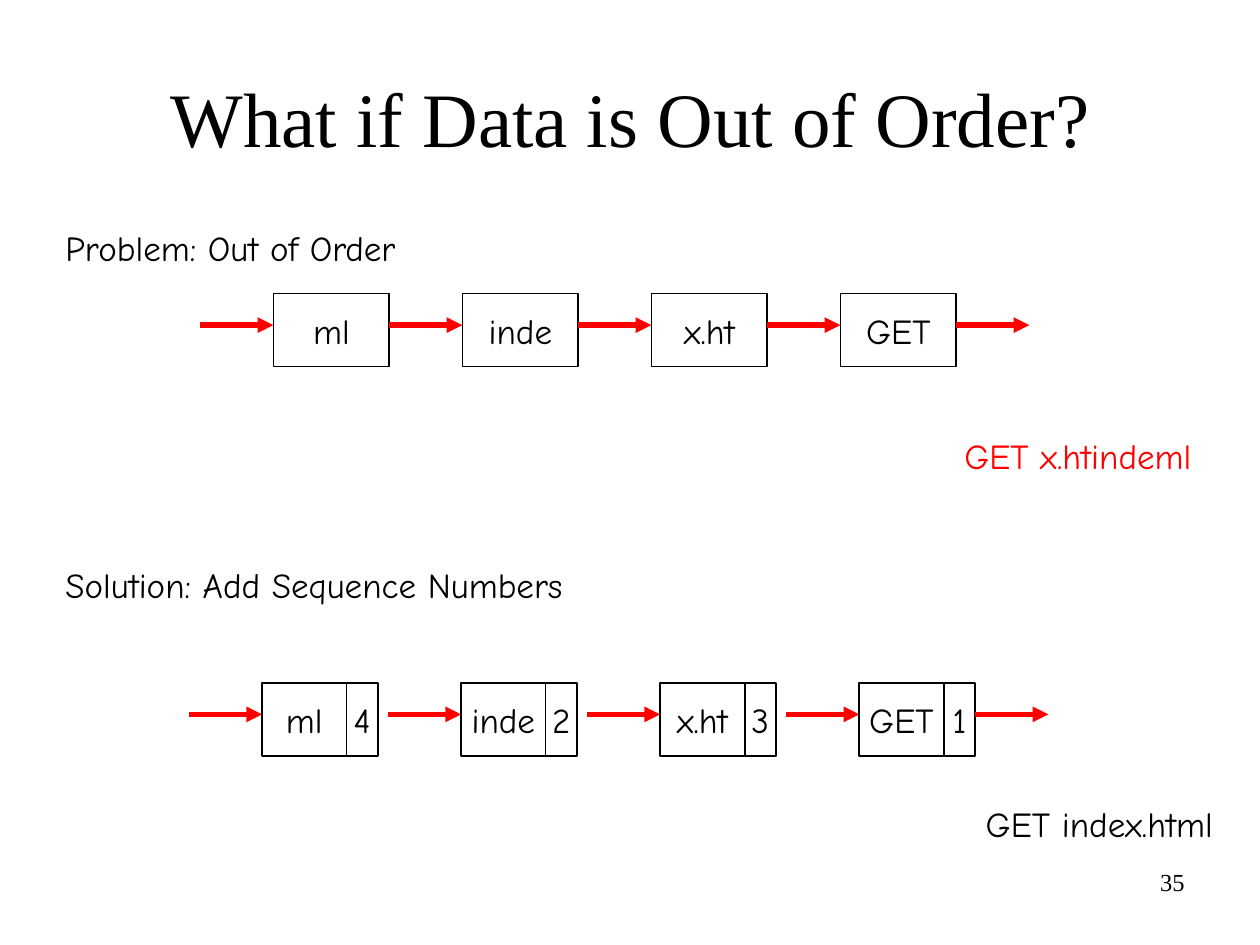
import pptx
import pptx.dml.color
import pptx.enum.shapes
import pptx.enum.text
import pptx.oxml.ns
import pptx.util
from lxml import etree
from pptx.util import Inches

COLORS = {"ink": "000000", "paper": "FFFFFF", "red": "FF0000"}
ALIGN = pptx.enum.text.PP_ALIGN
ANCHOR = pptx.enum.text.MSO_ANCHOR


def rgb(name):
    """Return the named palette colour."""
    return pptx.dml.color.RGBColor.from_string(COLORS[name])


class PacketSlide:
    """Hold the style and the current slide, and draw each kind of element."""

    hand_font = "Comic Neue"
    serif_font = "Times New Roman"
    box_height = 0.58
    arrow_length = 0.58

    def __init__(self, slide):
        """Keep the slide to draw on."""
        self.slide = slide

    def set_text(self, frame, text, size=20, font=None, color="ink",
                 align=ALIGN.CENTER, anchor=ANCHOR.MIDDLE, wrap=False):
        """Put one styled paragraph into a text frame."""
        frame.word_wrap = wrap
        frame.vertical_anchor = anchor
        frame.text = text
        paragraph = frame.paragraphs[0]
        paragraph.alignment = align
        paragraph.font.size = pptx.util.Pt(size)
        paragraph.font.name = font or self.hand_font
        paragraph.font.color.rgb = rgb(color)

    def title(self, text, left, top, width, height):
        """Place and fill the title placeholder."""
        title = self.slide.shapes.title
        title.left, title.top = Inches(left), Inches(top)
        title.width, title.height = Inches(width), Inches(height)
        self.set_text(title.text_frame, text, 44, self.serif_font, wrap=True)

    def label(self, text, left, top, width, height, **style):
        """Add a text box."""
        label = self.slide.shapes.add_textbox(
            Inches(left), Inches(top), Inches(width), Inches(height))
        self.set_text(label.text_frame, text, **style)

    def heading(self, text, top):
        """Add a left-aligned section heading."""
        self.label(text, 0.42, top, 5.42, 0.75,
                   align=ALIGN.LEFT, anchor=ANCHOR.TOP, wrap=True)

    def box(self, text, left, top, width):
        """Add an outlined packet box."""
        box = self.slide.shapes.add_shape(
            pptx.enum.shapes.MSO_SHAPE.RECTANGLE,
            Inches(left), Inches(top), Inches(width), Inches(self.box_height))
        box.shadow.inherit = False
        box.fill.solid()
        box.fill.fore_color.rgb = rgb("paper")
        box.line.color.rgb = rgb("ink")
        box.line.width = pptx.util.Pt(1)
        self.set_text(box.text_frame, text)

    def arrow(self, left, y):
        """Add a red arrow pointing right."""
        arrow = self.slide.shapes.add_connector(
            pptx.enum.shapes.MSO_CONNECTOR.STRAIGHT,
            Inches(left), Inches(y), Inches(left + self.arrow_length), Inches(y))
        arrow.line.color.rgb = rgb("red")
        arrow.line.width = pptx.util.Pt(3)
        qn = pptx.oxml.ns.qn
        properties = arrow.element.spPr
        etree.SubElement(properties.find(qn("a:ln")), qn("a:tailEnd"), type="triangle")
        etree.SubElement(properties, qn("a:effectLst"))

    def packet_row(self, packets, left, top, pitch, data_width, number_width=0):
        """Draw a row of packets, each with an arrow in, and one arrow out."""
        arrow_y = top + 0.25
        for index, (data, number) in enumerate(packets):
            packet_left = left + index * pitch
            self.arrow(packet_left - self.arrow_length, arrow_y)
            self.box(data, packet_left, top, data_width)
            if number:
                self.box(number, packet_left + data_width, top, number_width)
        self.arrow(packet_left + data_width + number_width, arrow_y)


def main():
    """Build and save the slide."""
    deck = pptx.Presentation()
    deck.slide_width, deck.slide_height = Inches(10), Inches(7.5)
    page = PacketSlide(deck.slides.add_slide(deck.slide_layouts[5]))
    page.title("What if Data is Out of Order?", 0.17, 0.3, 9.67, 1.25)

    arrivals = [("ml", "4"), ("inde", "2"), ("x.ht", "3"), ("GET", "1")]
    page.heading("Problem: Out of Order", 1.75)
    page.packet_row([(data, None) for data, number in arrivals], 2.17, 2.33, 1.5, 0.92)
    page.label("GET x.htindeml", 7.46, 3.4, 2.19, 0.43, color="red")

    page.heading("Solution: Add Sequence Numbers", 4.42)
    page.packet_row(arrivals, 2.08, 5.42, 1.58, 0.67, 0.25)
    page.label("GET index.html", 7.63, 6.32, 2.19, 0.43)

    page.label("35", 7.17, 6.83, 2.33, 0.52, size=14, font=page.serif_font,
               align=ALIGN.RIGHT, anchor=ANCHOR.TOP, wrap=True)
    deck.save("out.pptx")


if __name__ == "__main__":
    main()
